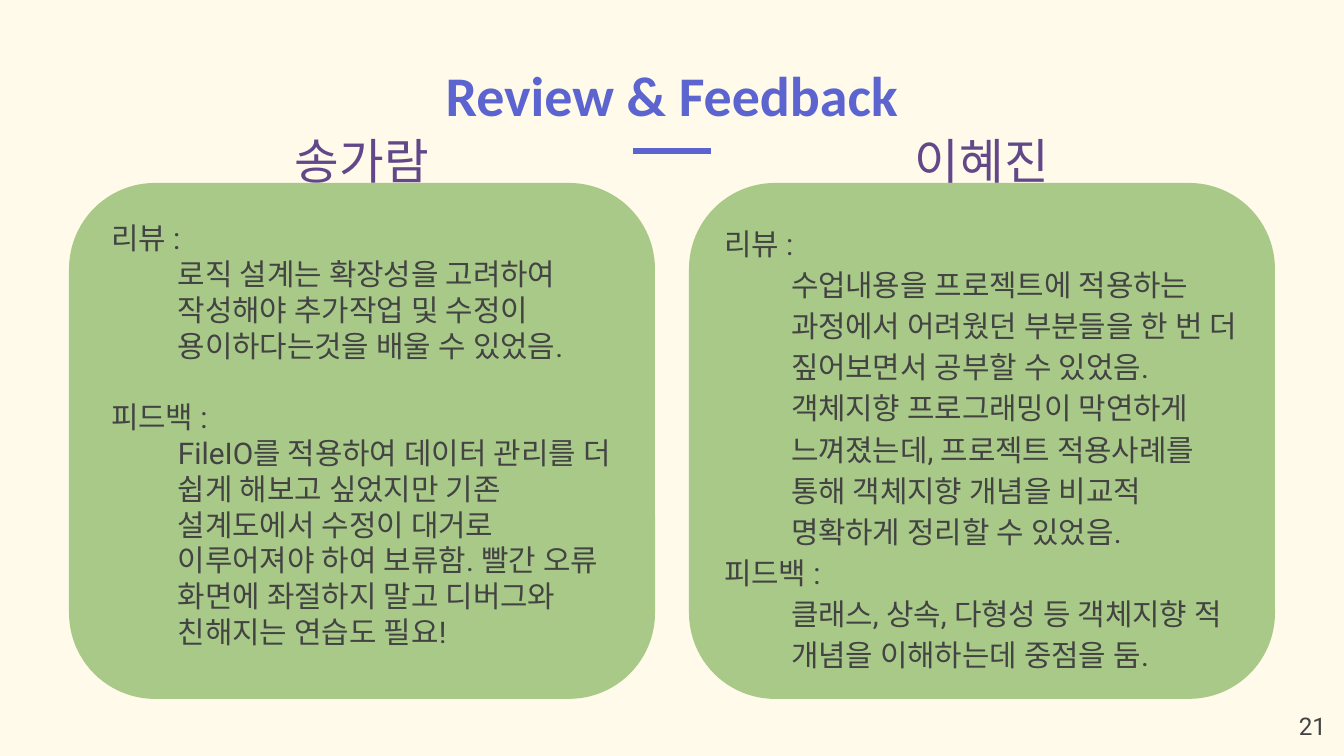
import dataclasses

import lxml.etree
import pptx
import pptx.dml.color
import pptx.enum.shapes
import pptx.enum.text
import pptx.oxml.ns
import pptx.util

EMU_PER_PX = 914400 / 134.4
INSET = 13
ALIGN = pptx.enum.text.PP_ALIGN
ANCHOR = pptx.enum.text.MSO_ANCHOR


@dataclasses.dataclass(frozen=True)
class Theme:
    """Colours, fonts and type sizes of the deck."""
    background: str = "FFFAEA"
    accent: str = "5C65CF"
    card: str = "A8C987"
    name: str = "624889"
    text: str = "434343"
    title_font: str = "Calibri"
    text_font: str = "Roboto"
    title_size: int = 30
    name_size: int = 26
    body_size: int = 16
    number_size: int = 13
    rule_width: int = 3


THEME = Theme()

REVIEWERS = [
    dict(
        name="송가람", card=(69, 183, 586, 516), body=(29, 24, 530, 465),
        line_spacing=1.0, section_gap=19,
        sections=[
            ("리뷰 :", "로직 설계는 확장성을 고려하여 작성해야 추가작업 및 수정이 "
                     "용이하다는것을 배울 수 있었음."),
            ("피드백 :", "FileIO를 적용하여 데이터 관리를 더 쉽게 해보고 싶었지만 기존 "
                      "설계도에서 수정이 대거로 이루어져야 하여 보류함. 빨간 오류 화면에 "
                      "좌절하지 말고 디버그와 친해지는 연습도 필요!"),
        ]),
    dict(
        name="이혜진", card=(689, 183, 586, 516), body=(22, 24, 540, 465),
        line_spacing=1.15, section_gap=0,
        sections=[
            ("리뷰 :", "수업내용을 프로젝트에 적용하는 과정에서 어려웠던 부분들을 한 번 더 "
                     "짚어보면서 공부할 수 있었음. 객체지향 프로그래밍이 막연하게 "
                     "느껴졌는데, 프로젝트 적용사례를 통해 객체지향 개념을 비교적 명확하게 "
                     "정리할 수 있었음."),
            ("피드백 :", "클래스, 상속, 다형성 등 객체지향 적 개념을 이해하는데 중점을 둠."),
        ]),
]


def px(length):
    """Turn pixels into EMU."""
    return pptx.util.Emu(round(length * EMU_PER_PX))


def rgb(value):
    """Turn a hex string into a colour."""
    return pptx.dml.color.RGBColor.from_string(value)


def place(shape, box):
    """Move and size a shape to a pixel box."""
    shape.left, shape.top, shape.width, shape.height = map(px, box)


def prepare_frame(shape, anchor):
    """Set wrapping, anchor and insets, and return the text frame."""
    frame = shape.text_frame
    frame.word_wrap = True
    frame.auto_size = pptx.enum.text.MSO_AUTO_SIZE.NONE
    frame.vertical_anchor = anchor
    frame.margin_left = frame.margin_right = px(INSET)
    frame.margin_top = frame.margin_bottom = px(INSET)
    return frame


def write(para, text, size, color, font, align=ALIGN.LEFT, bold=False,
          indent=0, line_spacing=1.0, space_after=0):
    """Fill and format one paragraph without a bullet."""
    para.text = text
    para.alignment = align
    para.line_spacing = line_spacing
    para.space_before = pptx.util.Pt(0)
    para.space_after = pptx.util.Pt(space_after)
    properties = para._p.get_or_add_pPr()
    properties.set("marL", str(px(indent)))
    properties.set("indent", "0")
    lxml.etree.SubElement(properties, pptx.oxml.ns.qn("a:buNone"))
    for span in para.runs:
        span.font.size = pptx.util.Pt(size)
        span.font.bold = bold
        span.font.name = font
        span.font.color.rgb = rgb(color)
        east_asian = lxml.etree.SubElement(
            span._r.get_or_add_rPr(), pptx.oxml.ns.qn("a:ea"))
        east_asian.set("typeface", font)


def add_heading(page, box):
    """Place the slide title and the short rule under it."""
    left, top, width, height = box
    title = page.shapes.title
    place(title, box)
    frame = prepare_frame(title, ANCHOR.BOTTOM)
    write(frame.paragraphs[0], "Review & Feedback", THEME.title_size,
          THEME.accent, THEME.title_font, ALIGN.CENTER, bold=True)
    middle, rule_y = left + width / 2, top + height + 10
    rule = page.shapes.add_connector(
        pptx.enum.shapes.MSO_CONNECTOR.STRAIGHT,
        px(middle - 39), px(rule_y), px(middle + 39), px(rule_y))
    rule.line.color.rgb = rgb(THEME.accent)
    rule.line.width = pptx.util.Pt(THEME.rule_width)
    lxml.etree.SubElement(rule.element.spPr, pptx.oxml.ns.qn("a:effectLst"))


def add_review(page, box, label, body, reviewer):
    """Place one reviewer's card, name and remarks."""
    left, top, width, height = box
    card = page.shapes.add_shape(
        pptx.enum.shapes.MSO_SHAPE.ROUNDED_RECTANGLE, *map(px, box))
    card.shadow.inherit = False
    card.fill.solid()
    card.fill.fore_color.rgb = rgb(THEME.card)
    card.line.fill.background()
    page.shapes.title.element.addprevious(card.element)

    place(label, (left + (width - 356) / 2, top - 54, 356, 73))
    frame = prepare_frame(label, ANCHOR.BOTTOM)
    write(frame.paragraphs[0], reviewer["name"], THEME.name_size, THEME.name,
          THEME.text_font, ALIGN.CENTER)

    x, y, body_width, body_height = reviewer["body"]
    place(body, (left + x, top + y, body_width, body_height))
    frame = prepare_frame(body, ANCHOR.TOP)
    spacing = reviewer["line_spacing"]
    style = (THEME.body_size, THEME.text, THEME.text_font)
    para = frame.paragraphs[0]
    for index, (heading, remark) in enumerate(reviewer["sections"]):
        if index:
            para = frame.add_paragraph()
        write(para, heading, *style, line_spacing=spacing)
        write(frame.add_paragraph(), remark, *style, indent=67,
              line_spacing=spacing, space_after=reviewer["section_gap"])


def add_page_number(page, box):
    """Place the page number in the corner."""
    number = page.shapes.add_textbox(*map(px, box))
    frame = prepare_frame(number, ANCHOR.TOP)
    write(frame.paragraphs[0], "21", THEME.number_size, THEME.text,
          THEME.text_font, ALIGN.RIGHT)


def main():
    """Build the review slide and save the deck."""
    deck = pptx.Presentation()
    deck.slide_width, deck.slide_height = px(1344), px(756)
    page = deck.slides.add_slide(deck.slide_layouts.get_by_name("Comparison"))
    page.background.fill.solid()
    page.background.fill.fore_color.rgb = rgb(THEME.background)
    add_heading(page, (117, 30, 1110, 111))
    slots = list(page.placeholders)[1:]
    for label, body, reviewer in zip(slots[::2], slots[1::2], REVIEWERS):
        add_review(page, reviewer["card"], label, body, reviewer)
    add_page_number(page, (1258, 698, 81, 58))
    deck.save("out.pptx")


if __name__ == "__main__":
    main()
